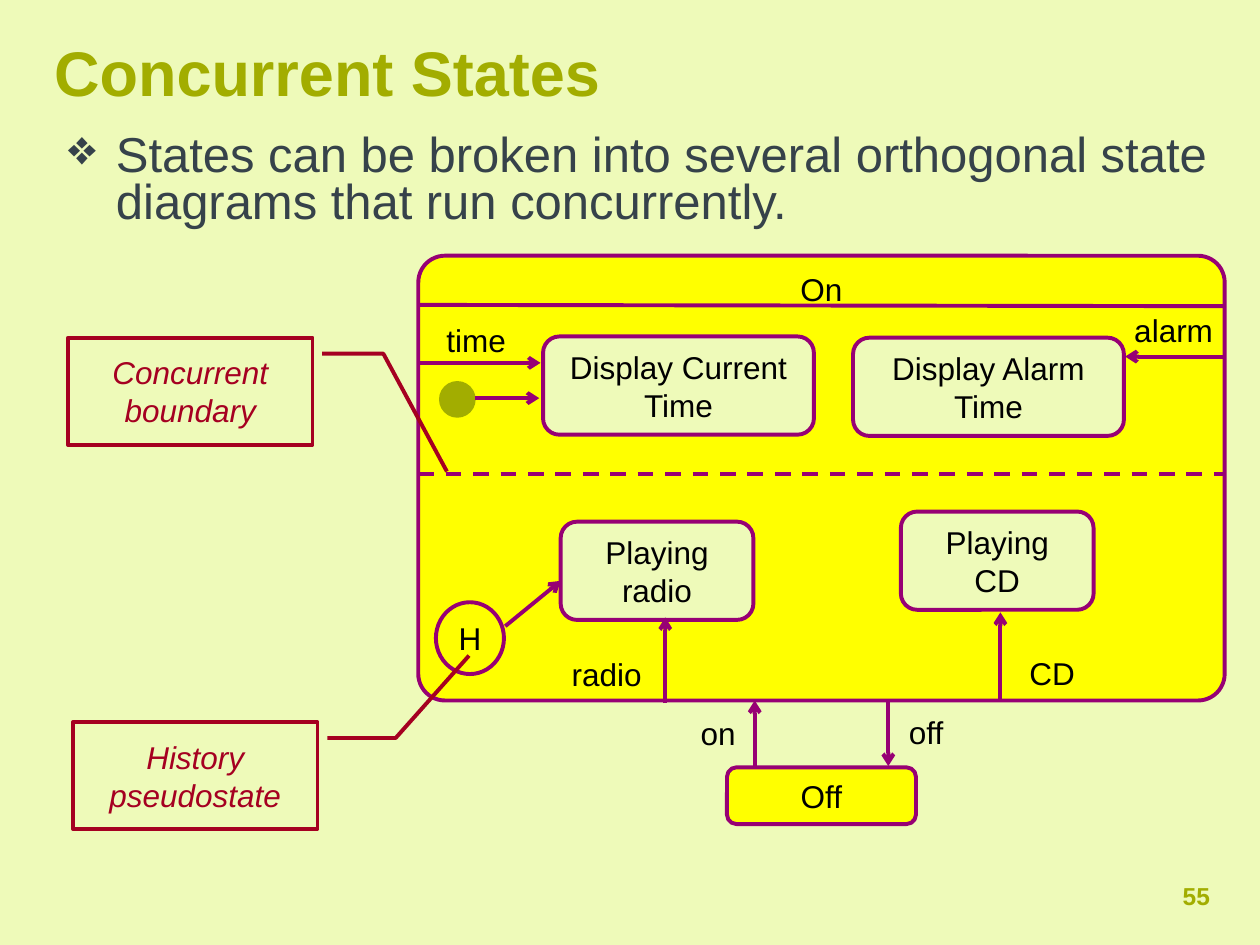
"""Builds the Concurrent States slide with its state diagram."""
from lxml import etree
from pptx import Presentation
from pptx.dml.color import RGBColor
from pptx.enum.dml import MSO_LINE
from pptx.enum.shapes import MSO_CONNECTOR, MSO_SHAPE
from pptx.enum.text import MSO_ANCHOR, PP_ALIGN
from pptx.oxml.ns import qn
from pptx.util import Inches, Pt

PALE = RGBColor(0xEE, 0xFA, 0xB9)
OLIVE = RGBColor(0xA2, 0xAD, 0x00)
SLATE = RGBColor(0x36, 0x42, 0x4A)
YELLOW = RGBColor(0xFF, 0xFF, 0x00)
PURPLE = RGBColor(0x97, 0x00, 0x74)
CRIMSON = RGBColor(0xA5, 0x00, 0x21)
BLACK = RGBColor(0x00, 0x00, 0x00)
ROUNDED, OVAL = MSO_SHAPE.ROUNDED_RECTANGLE, MSO_SHAPE.OVAL
CALLOUT = MSO_SHAPE.LINE_CALLOUT_2
STRAIGHT, DASH = MSO_CONNECTOR.STRAIGHT, MSO_LINE.DASH
TOP, MIDDLE = MSO_ANCHOR.TOP, MSO_ANCHOR.MIDDLE
LEFT, CENTER = PP_ALIGN.LEFT, PP_ALIGN.CENTER

prs = Presentation()
prs.slide_width, prs.slide_height = Inches(10), Inches(7.5)
slide = prs.slides.add_slide(prs.slide_layouts[6])
slide.background.fill.solid()
slide.background.fill.fore_color.rgb = PALE


def write(shape, text, size=18, color=BLACK, bold=False, italic=False,
          align=CENTER, anchor=TOP, inset=0.1, wrap=True, bullet=None):
    frame = shape.text_frame
    frame.word_wrap = wrap
    frame.vertical_anchor = anchor
    frame.margin_left = Inches(inset)
    paragraph = frame.paragraphs[0]
    paragraph.text = text
    paragraph.alignment = align
    if bullet:
        paragraph.line_spacing = 0.8
        properties = paragraph._p.get_or_add_pPr()
        properties.set("marL", str(Inches(0.38)))
        properties.set("indent", str(-Inches(0.38)))
        etree.SubElement(properties, qn("a:buChar")).set("char", bullet)
    font = paragraph.font
    font.name, font.size, font.bold, font.italic = "Arial", Pt(size), bold, italic
    font.color.rgb = color


def add_outlined(kind, box, fill=None, line=PURPLE, adjustments=()):
    shape = slide.shapes.add_shape(kind, *map(Inches, box))
    shape.shadow.inherit = False
    if fill is None:
        shape.fill.background()
    else:
        shape.fill.solid()
        shape.fill.fore_color.rgb = fill
    shape.line.color.rgb = line
    shape.line.width = Pt(2.25)
    for index, value in enumerate(adjustments):
        shape.adjustments[index] = value
    return shape


headings = [
    ("55", (9.21, 6.94, 0.57, 0.39), dict(size=14, color=OLIVE, bold=True)),
    ("Concurrent States", (0.43, 0.21, 9.25, 0.71),
     dict(size=36, color=OLIVE, bold=True, align=LEFT, anchor=MIDDLE, inset=0)),
    ("States can be broken into several orthogonal state diagrams that run concurrently.",
     (0.54, 1.02, 9.28, 0.92),
     dict(size=28, color=SLATE, align=LEFT, inset=0, bullet="❖")),
]
for text, box, style in headings:
    write(slide.shapes.add_textbox(*map(Inches, box)), text, **style)

on_state = add_outlined(ROUNDED, (3.32, 2.03, 6.4, 3.53), YELLOW, adjustments=[0.06])
write(on_state, "On")

states = [
    ("Display Current Time", (4.31, 2.67, 2.15, 0.78), PALE),
    ("Display Alarm Time", (6.77, 2.68, 2.15, 0.78), PALE),
    ("Playing\vradio", (4.45, 4.14, 1.53, 0.78), PALE),
    ("Playing\vCD", (7.15, 4.06, 1.53, 0.78), PALE),
    ("Off", (5.77, 6.09, 1.5, 0.45), YELLOW),
]
for text, box, fill in states:
    write(add_outlined(ROUNDED, box, fill), text, anchor=MIDDLE)

add_outlined(OVAL, (3.5, 3.04, 0.26, 0.26), OLIVE, OLIVE)
history = add_outlined(OVAL, (3.46, 4.78, 0.54, 0.57))
write(history, "H", anchor=MIDDLE, wrap=False)

labels = [
    ("time", 3.38, 2.5, 0.8),
    ("alarm", 8.83, 2.42, 0.97),
    ("radio", 4.35, 5.15, 0.93),
    ("CD", 7.95, 5.14, 0.8),
    ("on", 5.4, 5.62, 0.6),
    ("off", 7.05, 5.61, 0.6),
]
for text, left, top, width in labels:
    write(slide.shapes.add_textbox(*map(Inches, (left, top, width, 0.4))), text)

header_rule = (3.31, 2.42, 9.72, 2.43)
concurrent_boundary = (3.32, 3.76, 9.71, 3.76)
transitions = [
    (3.32, 2.88, 4.29, 2.88),
    (9.71, 2.83, 8.93, 2.83),
    (3.77, 3.16, 4.28, 3.16),
    (5.28, 5.58, 5.28, 4.9),
    (7.94, 5.56, 7.94, 4.86),
    (5.99, 6.1, 5.99, 5.56),
    (7.05, 5.56, 7.05, 6.08),
    (4.01, 4.97, 4.45, 4.61),
]
for ends in [header_rule, concurrent_boundary] + transitions:
    connector = slide.shapes.add_connector(STRAIGHT, *map(Inches, ends))
    connector.line.color.rgb = PURPLE
    connector.line.width = Pt(2.25)
    if ends == concurrent_boundary:
        connector.line.dash_style = DASH
    if ends in transitions:
        etree.SubElement(connector.line._get_or_add_ln(), qn("a:tailEnd")).set("type", "arrow")
    etree.SubElement(connector._element.spPr, qn("a:effectLst"))

callouts = [
    ("History pseudostate", 0.58, 5.73, (0.15, 1.04, 0.15, 1.32, -0.62, 1.62)),
    ("Concurrent boundary", 0.54, 2.68, (0.15, 1.04, 0.15, 1.29, 1.25, 1.55)),
]
for text, left, top, leader in callouts:
    callout = add_outlined(CALLOUT, (left, top, 1.94, 0.85), line=CRIMSON, adjustments=leader)
    write(callout, text, color=CRIMSON, italic=True, anchor=MIDDLE)

prs.save("out.pptx")
